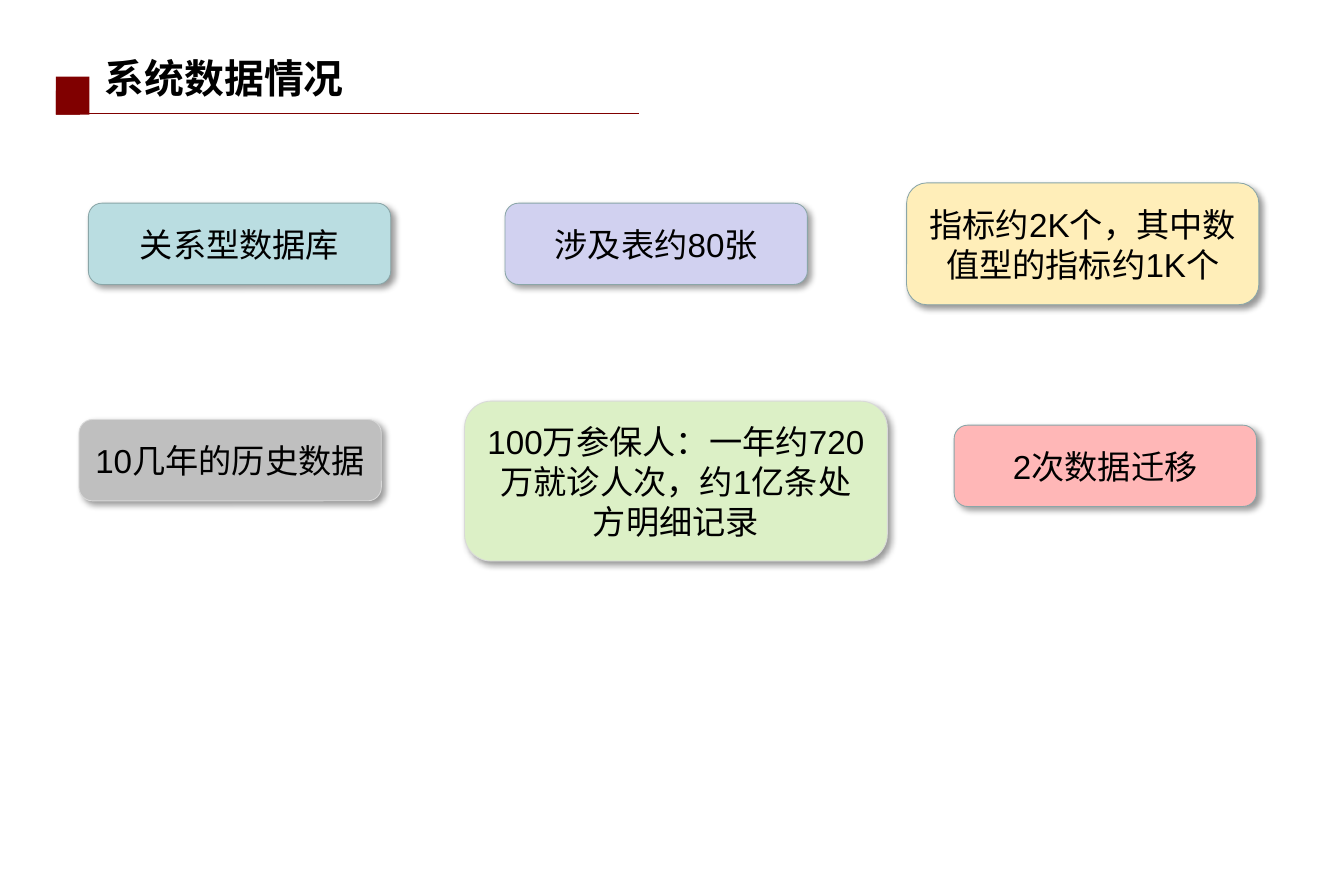
from lxml import etree
from pptx import Presentation
from pptx.dml.color import RGBColor
from pptx.enum.shapes import MSO_CONNECTOR, MSO_SHAPE
from pptx.enum.text import MSO_ANCHOR, MSO_AUTO_SIZE, PP_ALIGN
from pptx.oxml import parse_xml
from pptx.oxml.ns import qn
from pptx.util import Cm, Pt

RECTANGLE = MSO_SHAPE.RECTANGLE
ROUNDED = MSO_SHAPE.ROUNDED_RECTANGLE
STRAIGHT = MSO_CONNECTOR.STRAIGHT
MIDDLE = MSO_ANCHOR.MIDDLE
CENTER = PP_ALIGN.CENTER
FIT_SHAPE = MSO_AUTO_SIZE.SHAPE_TO_FIT_TEXT

CJK_FONT = "Noto Sans CJK SC"
MAROON = "800000"
BLACK = "000000"
TEAL_EDGE = "8AA6A8"
GRAY_EDGE = "D9D9D9"
CARD_WIDTH, CARD_HEIGHT = 6.43, 1.73

HEADER_BOX = (1.19, 1.02, 12.4, 1.39)
FACTS = [
    ("关系型数据库", (1.88, 4.32, CARD_WIDTH, CARD_HEIGHT), "BADDE1", TEAL_EDGE),
    ("10几年的历史数据", (1.68, 8.92, CARD_WIDTH, CARD_HEIGHT), "BFBFBF", GRAY_EDGE),
    ("涉及表约80张", (10.74, 4.32, CARD_WIDTH, CARD_HEIGHT), "D1D1F0", TEAL_EDGE),
    ("100万参保人：一年约720万就诊人次，约1亿条处方明细记录",
     (9.88, 8.53, 8.99, 3.4), "DCF0C6", GRAY_EDGE),
    ("指标约2K个，其中数值型的指标约1K个", (19.28, 3.89, 7.49, 2.59), "FFEEB9", TEAL_EDGE),
    ("2次数据迁移", (20.29, 9.04, CARD_WIDTH, CARD_HEIGHT), "FFB7B7", TEAL_EDGE),
]
SHADOW = (
    '<a:effectLst xmlns:a="http://schemas.openxmlformats.org/drawingml/2006/main">'
    '<a:outerShdw blurRad="50800" dist="38100" dir="2700000" algn="tl" rotWithShape="0">'
    '<a:srgbClr val="000000"><a:alpha val="40000"/></a:srgbClr>'
    '</a:outerShdw></a:effectLst>'
)


def color(value):
    return RGBColor.from_string(value)


def format_text(para, size, font, bold=False):
    for span in para.runs:
        span.font.size = Pt(size)
        span.font.name = font
        span.font.bold = bold
        span.font.color.rgb = color(BLACK)
        east_asian = etree.Element(qn("a:ea"), typeface=CJK_FONT)
        span.font._element.find(qn("a:latin")).addnext(east_asian)


def add_filled_shape(page, kind, box, fill):
    shape = page.shapes.add_shape(kind, *(Cm(length) for length in box))
    shape.shadow.inherit = False
    shape.fill.solid()
    shape.fill.fore_color.rgb = color(fill)
    shape.line.fill.background()
    return shape


def add_header(page, box, title):
    left, top, width, height = box
    bottom = top + height
    text_box = page.shapes.add_textbox(Cm(left + 0.79), Cm(top), Cm(5.64), Cm(1.27))
    frame = text_box.text_frame
    frame.word_wrap = False
    frame.auto_size = FIT_SHAPE
    frame.text = title
    format_text(frame.paragraphs[0], 24, CJK_FONT, bold=True)

    add_filled_shape(page, RECTANGLE, (left, bottom - 0.48, 0.51, 0.51), MAROON)
    rule = page.shapes.add_connector(
        STRAIGHT, Cm(left), Cm(bottom), Cm(left + width), Cm(bottom))
    rule.line.color.rgb = color(MAROON)
    rule.line.width = Pt(1)
    etree.SubElement(rule._element.spPr, qn("a:effectLst"))
    add_filled_shape(page, RECTANGLE, (left, bottom - 0.78, 0.71, 0.81), MAROON)


def add_card(page, box, text, fill, edge):
    card = add_filled_shape(page, ROUNDED, box, fill)
    card.line.color.rgb = color(edge)
    card.line.width = Pt(0.5)
    properties = card._element.spPr
    properties.replace(properties.find(qn("a:effectLst")), parse_xml(SHADOW))
    frame = card.text_frame
    frame.word_wrap = True
    frame.vertical_anchor = MIDDLE
    frame.text = text
    para = frame.paragraphs[0]
    para.alignment = CENTER
    format_text(para, 20, "Arial")


def main():
    deck = Presentation()
    deck.slide_width, deck.slide_height = Cm(28.58), Cm(19.05)
    page = deck.slides.add_slide(deck.slide_layouts[6])
    add_header(page, HEADER_BOX, "系统数据情况")
    for text, box, fill, edge in FACTS:
        add_card(page, box, text, fill, edge)
    deck.save("out.pptx")


if __name__ == "__main__":
    main()
